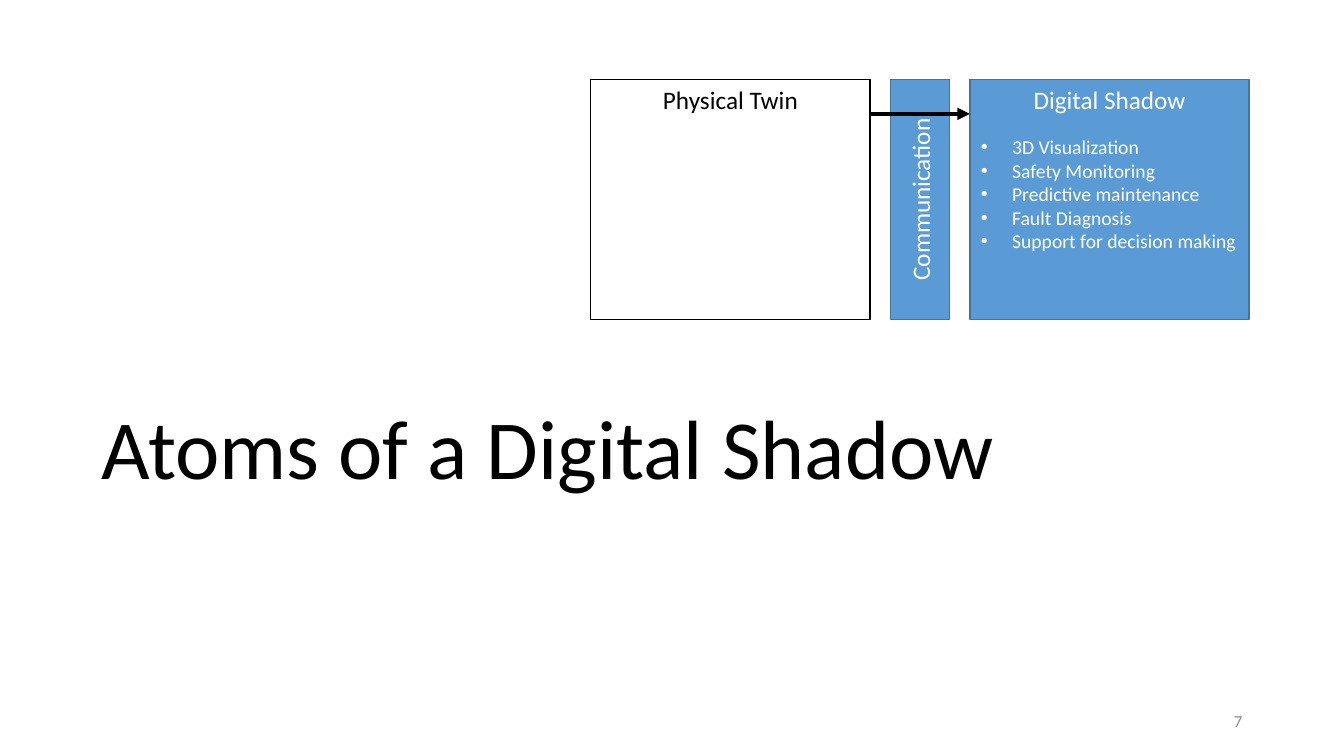
from dataclasses import dataclass

from lxml.etree import SubElement
from pptx import Presentation
from pptx.dml.color import RGBColor
from pptx.enum.shapes import MSO_CONNECTOR as Connector, MSO_SHAPE as Shape
from pptx.enum.text import MSO_ANCHOR as Anchor, PP_ALIGN as Align
from pptx.oxml.ns import qn
from pptx.util import Inches, Pt


@dataclass(frozen=True)
class Theme:
    font: str = "Calibri"
    black: str = "000000"
    white: str = "FFFFFF"
    blue: str = "5B9BD5"
    blue_edge: str = "43739E"
    grey: str = "8C8C8C"
    title_size: int = 60
    label_size: int = 18
    list_size: int = 14
    number_size: int = 12


THEME = Theme()

# Diagram measures in inches
TOP, HEIGHT = 0.79, 2.38
TWIN_LEFT, SHADOW_LEFT, TWIN_WIDTH = 5.86, 9.62, 2.77
BAR_WIDTH = 0.59
ARROW_Y = 1.13
BULLET_INDENT = 0.31

SHADOW_USES = [
    "3D Visualization",
    "Safety Monitoring",
    "Predictive maintenance",
    "Fault Diagnosis",
    "Support for decision making",
]


def rgb(color):
    return RGBColor.from_string(color)


def write(para, text, size, color, align=Align.LEFT):
    para.alignment = align
    span = para.add_run()
    span.text = text
    span.font.name = THEME.font
    span.font.size = Pt(size)
    span.font.color.rgb = rgb(color)


def add_bullet(para):
    props = para._p.get_or_add_pPr()
    props.set("marL", str(Inches(BULLET_INDENT)))
    props.set("indent", str(-Inches(BULLET_INDENT)))
    SubElement(props, qn("a:buFont"), typeface="Arial")
    SubElement(props, qn("a:buChar"), char="•")


def add_text(page, area, lines, size, color, anchor=Anchor.TOP,
             align=Align.LEFT, bullets=False, spacing=None):
    box = page.shapes.add_textbox(*map(Inches, area))
    frame = box.text_frame
    frame.word_wrap = True
    frame.vertical_anchor = anchor
    for index, line in enumerate(lines):
        para = frame.add_paragraph() if index else frame.paragraphs[0]
        para.line_spacing = spacing
        write(para, line, size, color, align)
        if bullets:
            add_bullet(para)


def add_block(page, area, label, fill, edge, color, anchor=Anchor.TOP, rotation=0):
    block = page.shapes.add_shape(Shape.RECTANGLE, *map(Inches, area))
    block.shadow.inherit = False
    block.rotation = rotation
    block.fill.solid()
    block.fill.fore_color.rgb = rgb(fill)
    block.line.color.rgb = rgb(edge)
    block.line.width = Pt(1)
    block.text_frame.vertical_anchor = anchor
    write(block.text_frame.paragraphs[0], label, THEME.label_size, color, Align.CENTER)


def add_arrow(page, start, end, y):
    arrow = page.shapes.add_connector(
        Connector.STRAIGHT, Inches(start), Inches(y), Inches(end), Inches(y))
    arrow.line.color.rgb = rgb(THEME.black)
    arrow.line.width = Pt(3)
    SubElement(arrow.line._get_or_add_ln(), qn("a:tailEnd"), type="triangle")
    SubElement(arrow._element.spPr, qn("a:effectLst"))


def main():
    deck = Presentation()
    deck.slide_width, deck.slide_height = Inches(13.33), Inches(7.5)
    page = deck.slides.add_slide(deck.slide_layouts[6])

    # Title
    add_text(page, (0.91, 1.87, 11.5, 3.12), ["Atoms of a Digital Shadow"],
             THEME.title_size, THEME.black, Anchor.BOTTOM, spacing=0.9)

    # Physical twin and digital shadow
    add_block(page, (TWIN_LEFT, TOP, TWIN_WIDTH, HEIGHT), "Physical Twin",
              THEME.white, THEME.black, THEME.black)
    add_block(page, (SHADOW_LEFT, TOP, TWIN_WIDTH, HEIGHT), "Digital Shadow",
              THEME.blue, THEME.blue_edge, THEME.white)

    # Upright communication bar, centred in the gap between the two
    twin_right = TWIN_LEFT + TWIN_WIDTH
    bar_left = (twin_right + SHADOW_LEFT - HEIGHT) / 2
    bar_top = TOP + (HEIGHT - BAR_WIDTH) / 2
    add_block(page, (bar_left, bar_top, HEIGHT, BAR_WIDTH), "Communication",
              THEME.blue, THEME.blue_edge, THEME.white, Anchor.MIDDLE, rotation=270)
    add_arrow(page, twin_right, SHADOW_LEFT, ARROW_Y)

    # Uses of the digital shadow
    add_text(page, (9.63, 1.29, 2.79, 1.28), SHADOW_USES,
             THEME.list_size, THEME.white, bullets=True)

    # Page number
    add_text(page, (9.42, 6.95, 3, 0.4), ["7"], THEME.number_size, THEME.grey,
             Anchor.MIDDLE, Align.RIGHT)

    deck.save("out.pptx")


if __name__ == "__main__":
    main()
